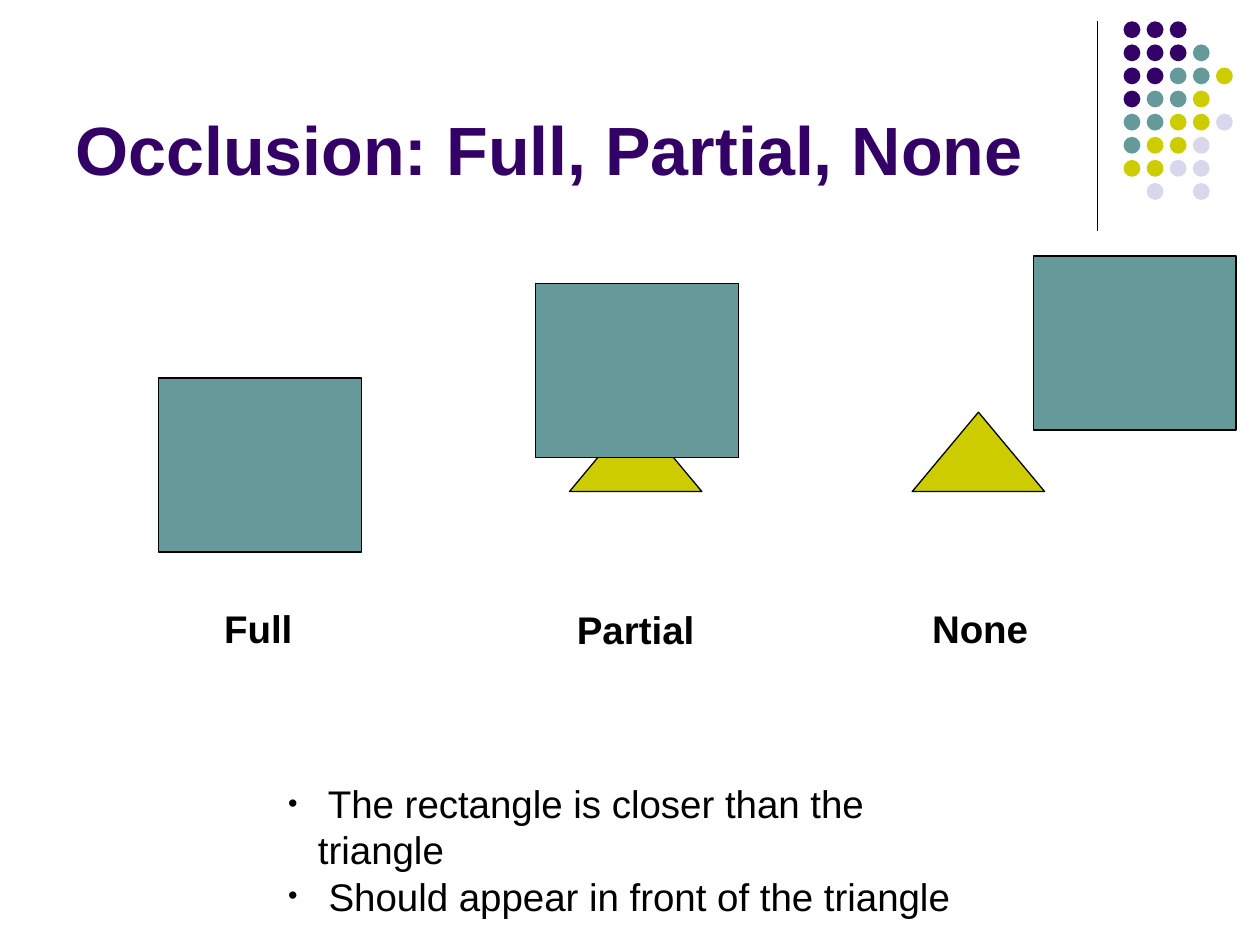
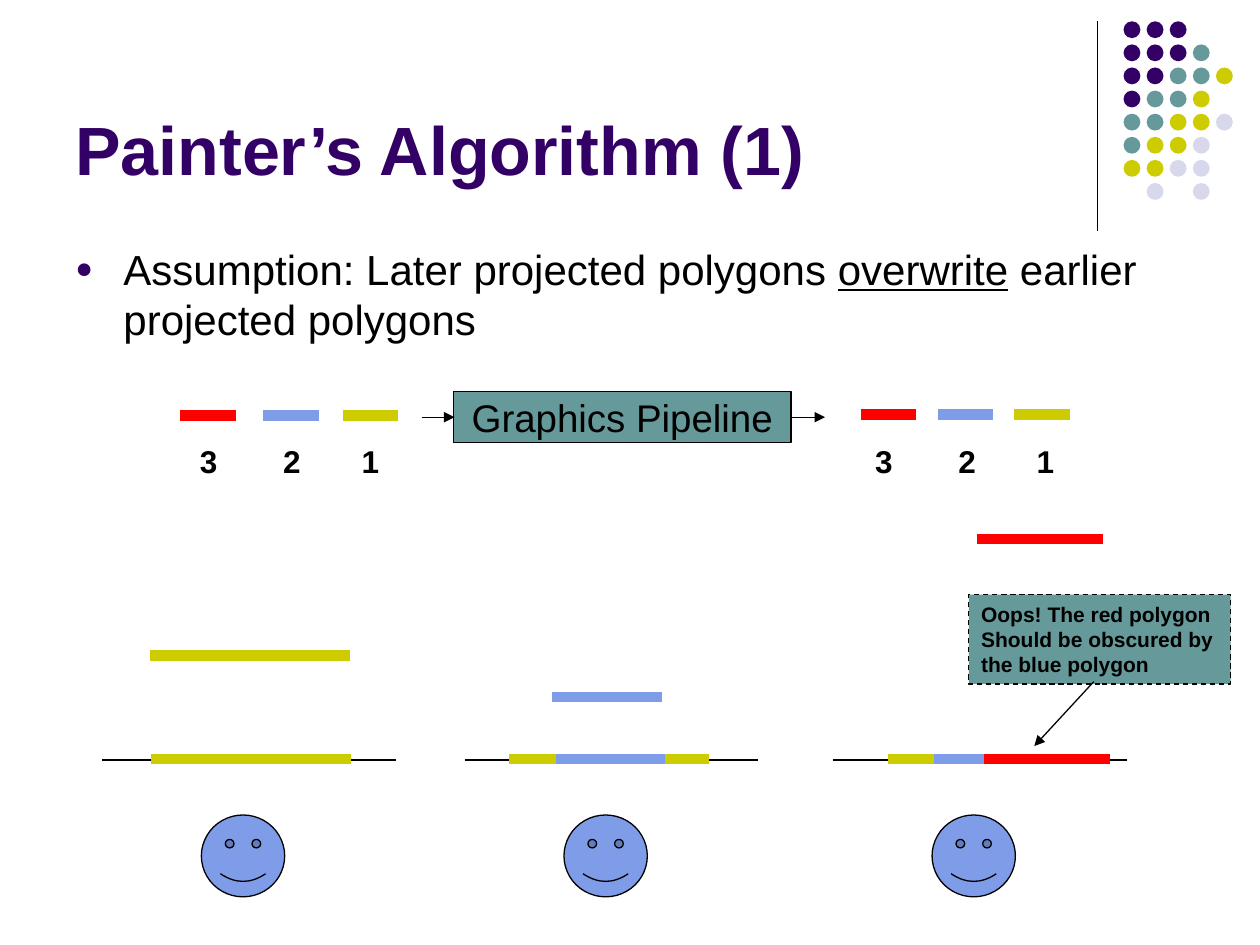
"""Build two slides on occlusion and the painter's algorithm."""
import dataclasses

import pptx
import pptx.dml.color
import pptx.enum.dml
import pptx.enum.shapes
import pptx.enum.text
import pptx.oxml.ns
import pptx.util
from lxml import etree

Cm = pptx.util.Cm
Pt = pptx.util.Pt
Shape = pptx.enum.shapes.MSO_SHAPE
Align = pptx.enum.text.PP_ALIGN
Anchor = pptx.enum.text.MSO_ANCHOR


@dataclasses.dataclass(frozen=True)
class Theme:
    font: str = "Arial"
    ink: str = "000000"
    purple: str = "330066"
    teal: str = "669999"
    yellow: str = "CCCC00"
    lavender: str = "D8D8EC"
    blue: str = "7E9CE8"
    red: str = "FF0000"
    title: int = 39
    body: int = 24
    label: int = 22
    number: int = 18
    note: int = 12
    thin: float = 0.75
    thick: int = 6


def rgb(value):
    return pptx.dml.color.RGBColor.from_string(value)


def assign(target, values):
    for name, value in values.items():
        setattr(target, name, value)


def add_xml(parent, tag, **attributes):
    return etree.SubElement(parent, pptx.oxml.ns.qn(tag), attributes)


class SlideBuilder:
    dot_rows = ("PPP", "PPPT", "PPTTY", "PTTY", "TTYYL", "TYYL", "YYLL", " L L")

    def __init__(self, theme):
        self.theme = theme
        self.deck = pptx.Presentation()
        assign(self.deck, {"slide_width": Cm(25.4), "slide_height": Cm(19.05)})
        self.page = None

    def start(self, title):
        theme = self.theme
        self.page = self.deck.slides.add_slide(self.deck.slide_layouts[6])
        self.line((22.12, 0.43), (22.12, 4.65))
        colors = {"P": theme.purple, "T": theme.teal, "Y": theme.yellow, "L": theme.lavender}
        pitch = 3.26 / 7
        for row, codes in enumerate(self.dot_rows):
            for column, code in enumerate(codes):
                if code in colors:
                    place = (22.65 + column * pitch, 0.43 + row * pitch, 0.34, 0.34)
                    self.shape(Shape.OVAL, place, colors[code], outlined=False)
        self.text((1.27, 0.33, 20.96, 3.61), [title], theme.title, color=theme.purple,
                  bold=True, anchor=Anchor.BOTTOM)

    def line(self, start, end, color=None, width=None, arrow=False):
        points = [Cm(value) for value in (*start, *end)]
        line = self.page.shapes.add_connector(pptx.enum.shapes.MSO_CONNECTOR.STRAIGHT, *points)
        line.line.color.rgb = rgb(color or self.theme.ink)
        line.line.width = Pt(width or self.theme.thin)
        if arrow:
            add_xml(line.line._get_or_add_ln(), "a:tailEnd", type="triangle")
        add_xml(line._element.spPr, "a:effectLst")

    def bar(self, left, top, length, color):
        self.line((left, top), (left + length, top), color, self.theme.thick)

    def shape(self, kind, place, color, outlined=True, dashed=False):
        shape = self.page.shapes.add_shape(kind, *map(Cm, place))
        shape.shadow.inherit = False
        shape.fill.solid()
        shape.fill.fore_color.rgb = rgb(color)
        if outlined:
            shape.line.color.rgb = rgb(self.theme.ink)
            shape.line.width = Pt(self.theme.thin)
        else:
            shape.line.fill.background()
        if dashed:
            shape.line.dash_style = pptx.enum.dml.MSO_LINE.DASH
        return shape

    def text(self, place, paragraphs, size, **style):
        box = self.page.shapes.add_textbox(*map(Cm, place))
        self.label(box, paragraphs, size, **style)

    def label(self, box, paragraphs, size, color=None, bold=False, wrap=True,
              anchor=Anchor.TOP, align=Align.LEFT, bullet=None):
        frame = box.text_frame
        assign(frame, {"word_wrap": wrap, "vertical_anchor": anchor,
                       "margin_left": Cm(0.25), "margin_right": Cm(0.25),
                       "margin_top": Cm(0.13), "margin_bottom": Cm(0.13)})
        for index, content in enumerate(paragraphs):
            para = frame.add_paragraph() if index else frame.paragraphs[0]
            para.alignment = align
            if bullet:
                self.bullet(para, *bullet)
            spans = [content] if isinstance(content, str) else content
            for position, words in enumerate(spans):
                span = para.add_run()
                span.text = words
                assign(span.font, {"name": self.theme.font, "size": Pt(size), "bold": bold,
                                   "underline": position % 2 == 1})
                span.font.color.rgb = rgb(color or self.theme.ink)

    def bullet(self, para, character, color, indent):
        properties = para._p.get_or_add_pPr()
        properties.set("marL", str(Cm(indent)))
        properties.set("indent", str(-Cm(indent)))
        add_xml(add_xml(properties, "a:buClr"), "a:srgbClr", val=color)
        add_xml(properties, "a:buSzPct", val="70000")
        add_xml(properties, "a:buFont", typeface=self.theme.font)
        add_xml(properties, "a:buChar", char=character)


def build_occlusion(slide):
    theme = slide.theme
    slide.start("Occlusion: Full, Partial, None")
    cases = (
        ("Full", (4.27, 12.07, 1.88), None, (3.2, 7.62)),
        ("Partial", (11.38, 12.09, 2.87), 11.48, (10.8, 5.72)),
        ("None", (18.54, 12.07, 2.44), 18.39, (20.83, 5.16)),
    )
    for name, (left, top, width), triangle_left, corner in cases:
        if triangle_left:
            slide.shape(Shape.ISOSCELES_TRIANGLE, (triangle_left, 8.31, 2.67, 1.6), theme.yellow)
        slide.text((left, top, width, 1.19), [name], theme.label, bold=True, wrap=False)
        slide.shape(Shape.RECTANGLE, (*corner, 4.09, 3.51), theme.teal)
    notes = [" The rectangle is closer than the triangle", " Should appear in front of the triangle"]
    slide.text((5.56, 15.6, 14.48, 2.13), notes, theme.label, bullet=("•", theme.ink, 0.6))


def build_painter(slide):
    theme = slide.theme
    slide.start("Painter’s Algorithm (1)")
    assumption = ("Assumption: Later projected polygons ", "overwrite", " earlier projected polygons")
    slide.text((1.27, 4.78, 22.86, 2.5), [assumption], theme.body,
               bullet=("●", theme.purple, 0.97))

    pipeline = slide.shape(Shape.RECTANGLE, (9.14, 7.9, 6.81, 1.02), theme.teal)
    slide.label(pipeline, ["Graphics Pipeline"], theme.label, wrap=False,
                anchor=Anchor.MIDDLE, align=Align.CENTER)
    for arrow_left in (8.5, 15.97):
        slide.line((arrow_left, 8.41), (arrow_left + 0.66, 8.41), arrow=True)

    queue = (
        ("3", theme.red, 3.63, 17.35, 3.78),
        ("2", theme.blue, 5.31, 18.9, 5.46),
        ("1", theme.yellow, 6.91, 20.45, 7.04),
    )
    for number, color, input_left, output_left, number_left in queue:
        slide.bar(input_left, 8.38, 1.12, color)
        slide.bar(output_left, 8.36, 1.12, color)
        for shift in (0, 13.61):
            slide.text((number_left + shift, 8.79, 0.86, 1.02), [number], theme.number,
                       bold=True, wrap=False)

    lengths = {theme.yellow: 4.03, theme.blue: 2.21, theme.red: 2.54}
    scenes = (
        (2.06, (3.02, 13.21), (3.05,)),
        (9.37, (11.13, 14.05), (10.26, 11.2)),
        (16.79, (19.69, 10.87), (17.91, 18.82, 19.84)),
    )
    for (screen_left, polygon, projections), color in zip(scenes, lengths):
        slide.line((screen_left, 15.32), (screen_left + 5.92, 15.32))
        slide.bar(*polygon, lengths[color], color)
        for left, (projected, length) in zip(projections, lengths.items()):
            slide.bar(left, 15.3, length, projected)
        slide.shape(Shape.SMILEY_FACE, (screen_left + 2, 16.43, 1.68, 1.65), theme.blue)

    warning = slide.shape(Shape.RECTANGLE, (19.53, 11.99, 5.28, 1.8), theme.teal, dashed=True)
    lines = ["Oops! The red polygon", "Should be obscured by", "the blue polygon"]
    slide.label(warning, lines, theme.note, bold=True)
    slide.line((22.05, 13.74), (20.85, 15.04), arrow=True)


def main():
    slide = SlideBuilder(Theme())
    build_occlusion(slide)
    build_painter(slide)
    slide.deck.save("out.pptx")


if __name__ == "__main__":
    main()
